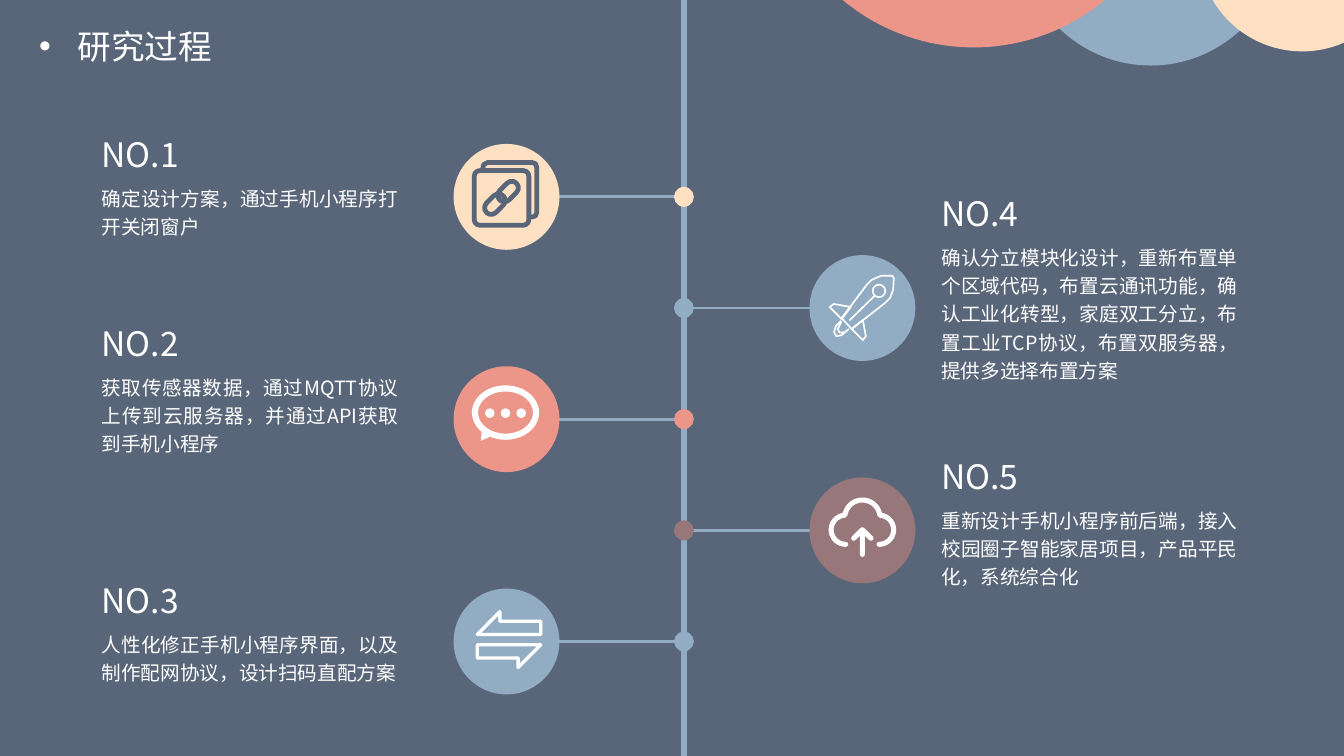
"""Builds the research process slide: a vertical timeline with five numbered steps."""
from math import cos, radians, sin, sqrt

from lxml.etree import SubElement
from pptx import Presentation
from pptx.dml.color import RGBColor
from pptx.enum.shapes import MSO_CONNECTOR, MSO_SHAPE
from pptx.enum.text import MSO_AUTO_SIZE, PP_ALIGN
from pptx.oxml.ns import qn
from pptx.util import Pt

COLORS = {"slate": "59667A", "blue": "92ACC4", "coral": "EC9589",
          "peach": "FEE1C2", "mauve": "98777B", "white": "FFFFFF"}
RGB = {name: RGBColor.from_string(value) for name, value in COLORS.items()}
FONT = "Noto Sans CJK SC"
W, H = 960, 540
SPINE_X, LEFT_X, RIGHT_X = 488.5, 361.8, 616
FIRST_Y, STEP_Y = 140.6, 79.4


def style(sp, fill=None, line=None, width=0):
    """Apply fill and outline, without a shadow."""
    sp.shadow.inherit = False
    if fill:
        sp.fill.solid()
        sp.fill.fore_color.rgb = RGB[fill]
    else:
        sp.fill.background()
    if line:
        sp.line.color.rgb = RGB[line]
        sp.line.width = Pt(width)
        ln = sp._element.spPr.find(qn("a:ln"))
        ln.set("cap", "rnd")
        SubElement(ln, qn("a:round"))
    else:
        sp.line.fill.background()


def preset(kind, cx, cy, w, h, **look):
    """Add a preset shape around a centre point."""
    sp = s.shapes.add_shape(kind, Pt(cx - w / 2), Pt(cy - h / 2), Pt(w), Pt(h))
    style(sp, **look)
    return sp


prs = Presentation()
prs.slide_width, prs.slide_height = Pt(W), Pt(H)
s = prs.slides.add_slide(prs.slide_layouts[6])
s.background.fill.solid()
s.background.fill.fore_color.rgb = RGB["slate"]

outlines = []
for cx, cy, radius, color in [(822, -46.8, 93.6, "blue"),
                              (695.5, -112.3, 146.2, "coral"),
                              (930.2, -37.4, 74.1, "peach")]:
    half = sqrt(radius ** 2 - cy ** 2)
    start, end = cx - half, min(cx + half, W)
    xs = [start + (end - start) * i / 60 for i in range(61)]
    arc = [(x, cy + sqrt(radius ** 2 - (x - cx) ** 2)) for x in xs]
    outlines.append((0, 0, arc + [(end, 0)], True, {"fill": color}))

nodes = [(LEFT_X, "peach"), (RIGHT_X, "blue"), (LEFT_X, "coral"),
         (RIGHT_X, "mauve"), (LEFT_X, "blue")]
ys = [FIRST_Y + i * STEP_Y for i in range(len(nodes))]
lines = [(SPINE_X, -1, SPINE_X, H + 1, 4)]
lines += [(SPINE_X, y, x, y, 2) for (x, color), y in zip(nodes, ys)]
for x1, y1, x2, y2, width in lines:
    sp = s.shapes.add_connector(MSO_CONNECTOR.STRAIGHT, Pt(x1), Pt(y1), Pt(x2), Pt(y2))
    sp.line.color.rgb = RGB["blue"]
    sp.line.width = Pt(width)
    SubElement(sp._element.spPr, qn("a:effectLst"))
for (x, color), y in zip(nodes, ys):
    preset(MSO_SHAPE.OVAL, SPINE_X, y, 14.2, 14.2, fill=color)
    preset(MSO_SHAPE.OVAL, x, y, 75.6, 75.6, fill=color)

link_y, rocket_y, chat_y, cloud_y, swap_y = ys

pen = {"line": "slate", "width": 3.4}
back_sheet = [(-16.9, -20.5), (-16.3, -23), (-13.5, -24.5), (18.4, -24.5),
              (20.8, -23.6), (21.6, -21.2), (21.6, 11.2), (20.8, 13.6), (18.4, 14.4)]
outlines.append((LEFT_X, link_y, back_sheet, False, pen))
for dx, dy, w, h, corner, angle in [(-3.5, 0.8, 39, 39, 0.1, 0),
                                    (-8.3, 5.2, 17, 9.5, 0.5, -45),
                                    (1.1, -3.8, 17, 9.5, 0.5, -45)]:
    sp = preset(MSO_SHAPE.ROUNDED_RECTANGLE, LEFT_X + dx, link_y + dy, w, h, **pen)
    sp.adjustments[0] = corner
    sp.rotation = angle

pen = {"line": "white", "width": 1.2}
body = [(-7.6, 15), (-14.8, 7.2), (3.2, -16.6), (6.5, -20), (13.3, -23),
        (21.2, -23), (22.5, -21.5), (22, -13), (19.8, -7.2), (16.2, -3.6)]
left_fin = [(-23.4, -0.7), (-20.5, -2.9), (-8.3, -0.7), (-14.8, 7.9)]
right_fin = [(-7.6, 15), (0.4, 8.6), (2.5, 20.2), (0.4, 23)]
flame = [(-15.5, 9.4), (-19, 13), (-20.2, 17.3), (-18.4, 20.2), (-14.8, 19.4),
         (-9.7, 15.1), (-12.6, 17.3), (-16.2, 17.6), (-17.6, 15), (-15, 10)]
outlines += [(RIGHT_X, rocket_y, part, True, pen)
             for part in (body, left_fin, right_fin, flame)]
outlines.append((RIGHT_X, rocket_y, [(-9, 8.6), (8.6, -8.6)], False, pen))
preset(MSO_SHAPE.OVAL, RIGHT_X + 11.9, rocket_y - 12.2, 9, 9, **pen)

preset(MSO_SHAPE.OVAL, LEFT_X - 0.7, chat_y - 4.7, 43.6, 34.5, line="white", width=4.4)
for dx in (-11.9, -0.7, 10.5):
    preset(MSO_SHAPE.OVAL, LEFT_X + dx, chat_y - 4.3, 6.8, 6.8, fill="white")
tail = [(-17.6, 7.6), (-18.4, 15.5), (-10.5, 12)]
outlines.append((LEFT_X, chat_y, tail, True, {"fill": "white"}))

pen = {"line": "white", "width": 3.6}
cloud = [(cx + r * cos(radians(a)), cy + r * sin(radians(a)))
         for cx, cy, r, first, last in [(-11.9, -0.4, 10.4, 90, 262),
                                        (0, -9, 12.6, 188, 352),
                                        (11.9, -0.4, 10.4, -82, 90)]
         for a in range(first, last + 1, 4)]
upload = [(0, 17.3), (0, -0.4), (-6.2, 5.7), (0, -0.4), (6.2, 5.7)]
outlines += [(RIGHT_X, cloud_y, part, False, pen) for part in (cloud, upload)]

pen = {"line": "white", "width": 2.4}
arrow = [(-20.9, -5), (-4.7, -21.2), (-4.7, -14.4), (24.5, -14.4), (24.5, -5)]
turned = [(3.6 - x, -2.6 - y) for x, y in arrow]
outlines += [(LEFT_X, swap_y, part, True, pen) for part in (arrow, turned)]

for cx, cy, points, closed, look in outlines:
    spots = [(Pt(cx + x), Pt(cy + y)) for x, y in points]
    builder = s.shapes.build_freeform(*spots[0])
    builder.add_line_segments(spots[1:], close=closed)
    style(builder.convert_to_shape(), **look)

steps = [
    (65.5, 86.6, 2, "NO.1", "确定设计方案，通过手机小程序打开关闭窗户"),
    (65.5, 221.5, 3, "NO.2", "获取传感器数据，通过MQTT协议上传到云服务器，并通过API获取到手机小程序"),
    (65.5, 404.9, 2, "NO.3", "人性化修正手机小程序界面，以及制作配网协议，设计扫码直配方案"),
    (665.3, 128.7, 5, "NO.4", "确认分立模块化设计，重新布置单个区域代码，布置云通讯功能，确认工业化转型，"
     "家庭双工分立，布置工业TCP协议，布置双服务器，提供多选择布置方案"),
    (665.3, 316.3, 3, "NO.5", "重新设计手机小程序前后端，接入校园圈子智能家居项目，产品平民化，系统综合化"),
]
texts = [(28, 15, 161, 36, "研究过程", 24, 1.0, True)]
for x, y, rows, label, detail in steps:
    texts.append((x, y, 110, 39.6, label, 24, 1.2, False))
    texts.append((x, y + 40, 226, 7.2 + 20.2 * rows, detail, 14, 1.2, False))

for x, y, w, h, text, size, spacing, bullet in texts:
    tf = s.shapes.add_textbox(Pt(x), Pt(y), Pt(w), Pt(h)).text_frame
    tf.word_wrap = True
    tf.auto_size = MSO_AUTO_SIZE.SHAPE_TO_FIT_TEXT
    p = tf.paragraphs[0]
    for key, value in {"alignment": PP_ALIGN.JUSTIFY, "line_spacing": spacing}.items():
        setattr(p, key, value)
    r = p.add_run()
    r.text = text
    for key, value in {"name": FONT, "size": Pt(size)}.items():
        setattr(r.font, key, value)
    r.font.color.rgb = RGB["white"]
    SubElement(r._r.get_or_add_rPr(), qn("a:ea"), typeface=FONT)
    if bullet:
        tf.margin_left = 0
        pPr = p._p.get_or_add_pPr()
        pPr.set("marL", str(Pt(27.4)))
        pPr.set("indent", str(Pt(-27.4)))
        SubElement(pPr, qn("a:buFont"), typeface="Arial")
        SubElement(pPr, qn("a:buChar"), char="•")

prs.save("out.pptx")
